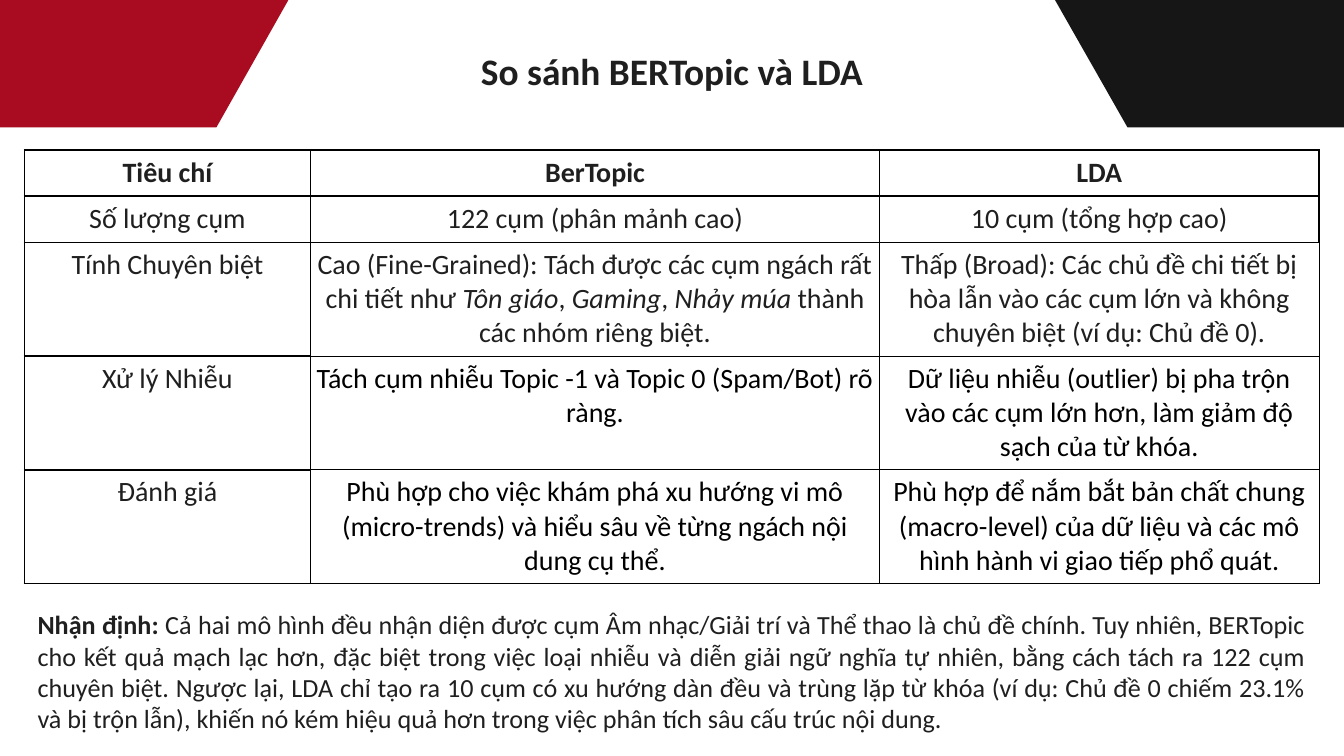
from dataclasses import dataclass

import pptx
import pptx.dml.color
import pptx.enum.text
import pptx.oxml
import pptx.oxml.ns
import pptx.util

Cm = pptx.util.Cm
Pt = pptx.util.Pt
ALIGN = pptx.enum.text.PP_ALIGN

INK = "1F1F1F"
BLACK = "000000"
COLUMNS = (5.41, 10.75, 8.31)
ROWS = (0.87, 0.87, 2.15, 2.15, 2.15)
CELL_INSETS = dict.fromkeys(
    ("margin_left", "margin_right", "margin_top", "margin_bottom"), Cm(0.1)
)


@dataclass
class Run:
    text: str
    bold: bool = False
    italic: bool = False
    color: str = INK


@dataclass
class Band:
    points: list[tuple[float, float]]
    color: str


@dataclass
class TextBox:
    left: float
    top: float
    width: float
    height: float
    size: float
    align: ALIGN
    runs: list[Run]


BANDS = [
    Band([(19.91, -0.05), (25.4, -0.05), (25.4, 2.41), (21.31, 2.41)], "171616"),
    Band([(-0.1, -0.05), (5.48, -0.05), (4.09, 2.41), (-0.1, 2.41)], "A90C21"),
]

TEXT_BOXES = [
    TextBox(8.84, 0.79, 12.7, 1.5, 20, ALIGN.LEFT,
            [Run("So sánh BERTopic và LDA", bold=True)]),
    TextBox(0.46, 11.38, 24.49, 2.9, 14, ALIGN.JUSTIFY, [
        Run("Nhận định: ", bold=True),
        Run("Cả hai mô hình đều nhận diện được cụm Âm nhạc/Giải trí và Thể thao "
            "là chủ đề chính. Tuy nhiên, BERTopic cho kết quả mạch lạc hơn, đặc biệt "
            "trong việc loại nhiễu và diễn giải ngữ nghĩa tự nhiên, bằng cách tách ra "
            "122 cụm chuyên biệt. Ngược lại, LDA chỉ tạo ra 10 cụm có xu hướng dàn đều "
            "và trùng lặp từ khóa (ví dụ: Chủ đề 0 chiếm 23.1% và bị trộn lẫn), khiến "
            "nó kém hiệu quả hơn trong việc phân tích sâu cấu trúc nội dung."),
    ]),
]

CELLS = [
    [[Run(name, bold=True)] for name in ("Tiêu chí", "BerTopic", "LDA")],
    [
        [Run("Số lượng cụm")],
        [Run("122 cụm (phân mảnh cao)")],
        [Run("10 cụm (tổng hợp cao)")],
    ],
    [
        [Run("Tính Chuyên biệt")],
        [
            Run("Cao (Fine-Grained): Tách được các cụm ngách rất chi tiết như "),
            Run("Tôn giáo", italic=True),
            Run(", "),
            Run("Gaming", italic=True),
            Run(", "),
            Run("Nhảy múa", italic=True),
            Run(" thành các nhóm riêng biệt."),
        ],
        [Run("Thấp (Broad): Các chủ đề chi tiết bị hòa lẫn vào các cụm lớn "
             "và không chuyên biệt (ví dụ: Chủ đề 0).")],
    ],
    [
        [Run("Xử lý Nhiễu")],
        [Run("Tách cụm nhiễu Topic -1 và Topic 0 (Spam/Bot) rõ ràng.", color=BLACK)],
        [Run("Dữ liệu nhiễu (outlier) bị pha trộn vào các cụm lớn hơn, "
             "làm giảm độ sạch của từ khóa.", color=BLACK)],
    ],
    [
        [Run("Đánh giá")],
        [Run("Phù hợp cho việc khám phá xu hướng vi mô (micro-trends) "
             "và hiểu sâu về từng ngách nội dung cụ thể.", color=BLACK)],
        [Run("Phù hợp để nắm bắt bản chất chung (macro-level) của dữ liệu "
             "và các mô hình hành vi giao tiếp phổ quát.", color=BLACK)],
    ],
]


def rgb(value: str) -> pptx.dml.color.RGBColor:
    return pptx.dml.color.RGBColor.from_string(value)


def apply(target, values: dict) -> None:
    for name, value in values.items():
        setattr(target, name, value)


def write_runs(tf, runs: list[Run], size: float, align: ALIGN) -> None:
    p = tf.paragraphs[0]
    p.alignment = align
    for run in runs:
        r = p.add_run()
        r.text = run.text
        apply(r.font, {"name": "Calibri", "size": Pt(size),
                       "bold": run.bold, "italic": run.italic})
        r.font.color.rgb = rgb(run.color)


def draw_band(s, band: Band) -> None:
    points = [(Cm(x), Cm(y)) for x, y in band.points]
    builder = s.shapes.build_freeform(*points[0])
    builder.add_line_segments(points[1:], close=True)
    sp = builder.convert_to_shape()
    sp.shadow.inherit = False
    sp.fill.solid()
    sp.fill.fore_color.rgb = rgb(band.color)
    sp.line.fill.background()


def draw_text(s, box: TextBox) -> None:
    sp = s.shapes.add_textbox(Cm(box.left), Cm(box.top), Cm(box.width), Cm(box.height))
    sp.text_frame.word_wrap = True
    write_runs(sp.text_frame, box.runs, box.size, box.align)


def border_width(row: int, col: int, side: str) -> float:
    heavy = row == 0 or (row == 1 and side != "B") or (col == 0 and side != "R")
    return 1 if heavy else 0.5


def draw_borders(cell, row: int, col: int) -> None:
    tc_pr = cell._tc.get_or_add_tcPr()
    for index, side in enumerate("LRTB"):
        width = Pt(border_width(row, col, side))
        tc_pr.insert(index, pptx.oxml.parse_xml(
            f'<a:ln{side} {pptx.oxml.ns.nsdecls("a")} w="{width}"><a:solidFill>'
            f'<a:srgbClr val="{BLACK}"/></a:solidFill></a:ln{side}>'
        ))


def draw_table(s) -> None:
    table = s.shapes.add_table(
        len(ROWS), len(COLUMNS), Cm(0.46), Cm(2.84), Cm(sum(COLUMNS)), Cm(sum(ROWS))
    ).table
    apply(table, {"first_row": False, "horz_banding": False})
    for column, width in zip(table.columns, COLUMNS):
        column.width = Cm(width)
    for row, height in enumerate(ROWS):
        table.rows[row].height = Cm(height)
        for col, runs in enumerate(CELLS[row]):
            cell = table.cell(row, col)
            apply(cell, CELL_INSETS)
            cell.fill.background()
            draw_borders(cell, row, col)
            write_runs(cell.text_frame, runs, 15, ALIGN.CENTER)


def main() -> None:
    prs = pptx.Presentation()
    apply(prs, {"slide_width": Cm(25.4), "slide_height": Cm(14.29)})
    s = prs.slides.add_slide(prs.slide_layouts[6])
    for band in BANDS:
        draw_band(s, band)
    for box in TEXT_BOXES:
        draw_text(s, box)
    draw_table(s)
    prs.save("out.pptx")


if __name__ == "__main__":
    main()
